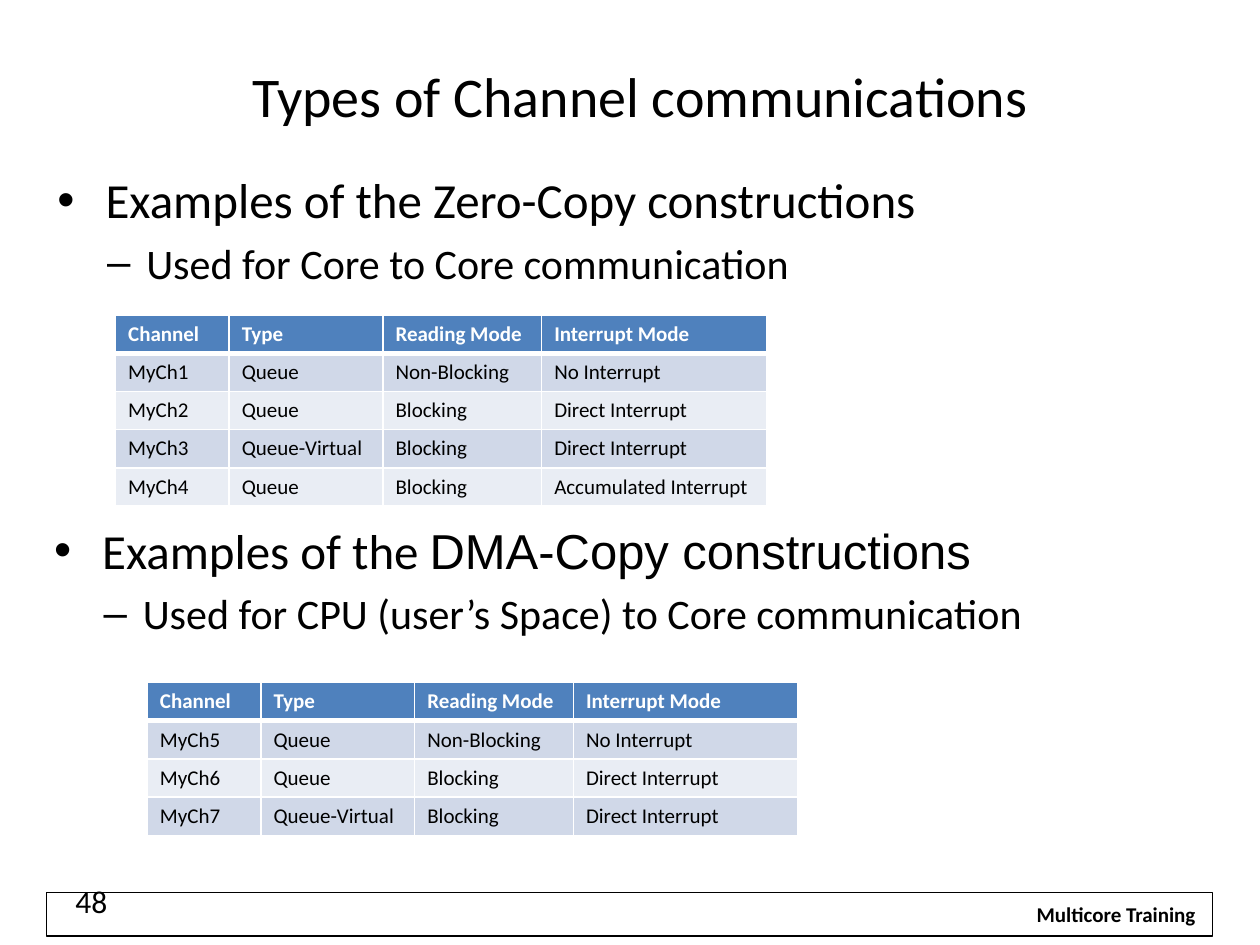
from lxml import etree
from pptx import Presentation
from pptx.dml.color import RGBColor
from pptx.enum.shapes import MSO_SHAPE
from pptx.enum.text import MSO_ANCHOR, PP_ALIGN
from pptx.oxml.ns import qn
from pptx.util import Cm, Pt

RECTANGLE = MSO_SHAPE.RECTANGLE
MIDDLE = MSO_ANCHOR.MIDDLE
LEFT, CENTER = PP_ALIGN.LEFT, PP_ALIGN.CENTER

COLORS = {
    "text": "000000",
    "white": "FFFFFF",
    "header": "4F81BD",
    "odd_row": "D0D8E8",
    "even_row": "E9EDF4",
}
BULLETS = [("•", 28, 0.97, 0.97), ("–", 24, 1.79, 0.79)]
COLUMN_WIDTHS = [2.29, 3.1, 3.2, 4.53]
ROW_HEIGHT = 0.77
HEADINGS = ["Channel", "Type", "Reading Mode", "Interrupt Mode"]
ZERO_COPY_CHANNELS = [
    ["MyCh1", "Queue", "Non-Blocking", "No Interrupt"],
    ["MyCh2", "Queue", "Blocking", "Direct Interrupt"],
    ["MyCh3", "Queue-Virtual", "Blocking", "Direct Interrupt"],
    ["MyCh4", "Queue", "Blocking", "Accumulated Interrupt"],
]
DMA_COPY_CHANNELS = [
    ["MyCh5", "Queue", "Non-Blocking", "No Interrupt"],
    ["MyCh6", "Queue", "Blocking", "Direct Interrupt"],
    ["MyCh7", "Queue-Virtual", "Blocking", "Direct Interrupt"],
]


class SlideBuilder:
    """Adds styled elements to one slide, with lengths in centimetres."""

    def __init__(self, slide, font="Calibri"):
        self.slide = slide
        self.font = font

    def color(self, name):
        return RGBColor.from_string(COLORS[name])

    def format_run(self, run, size, color="text", bold=False, font=None):
        run.font.name = font or self.font
        run.font.size = Pt(size)
        run.font.bold = bold
        run.font.color.rgb = self.color(color)

    def frame(self, left, top, width, height):
        shape = self.slide.shapes.add_shape(
            RECTANGLE, Cm(left), Cm(top), Cm(width), Cm(height))
        shape.shadow.inherit = False
        shape.fill.background()
        shape.line.color.rgb = self.color("text")
        shape.line.width = Pt(0.75)

    def text_box(self, left, top, width, height):
        return self.slide.shapes.add_textbox(
            Cm(left), Cm(top), Cm(width), Cm(height))

    def label(self, box, text, size, align=LEFT, bold=False, fill=None, wrap=True):
        shape = self.text_box(*box)
        if fill:
            shape.fill.solid()
            shape.fill.fore_color.rgb = self.color(fill)
        text_frame = shape.text_frame
        text_frame.word_wrap = wrap
        text_frame.text = text
        paragraph = text_frame.paragraphs[0]
        paragraph.alignment = align
        self.format_run(paragraph.runs[0], size, bold=bold)
        return text_frame

    def bullet_list(self, box, items):
        text_frame = self.text_box(*box).text_frame
        text_frame.word_wrap = True
        for level, (parts, style) in enumerate(zip(items, BULLETS)):
            symbol, size, margin, hanging = style
            paragraph = text_frame.add_paragraph() if level else text_frame.paragraphs[0]
            paragraph.level = level
            paragraph.space_before = Pt(size * 0.2)
            properties = paragraph._p.get_or_add_pPr()
            properties.set("marL", str(Cm(margin)))
            properties.set("indent", str(-Cm(hanging)))
            etree.SubElement(properties, qn("a:buFont"), typeface="Arial")
            etree.SubElement(properties, qn("a:buChar"), char=symbol)
            for text, font in parts:
                run = paragraph.add_run()
                run.text = text
                self.format_run(run, size, font=font)

    def cell_borders(self, cell, widths):
        properties = cell._tc.get_or_add_tcPr()
        for side, width in zip("LRTB", widths):
            line = etree.SubElement(properties, qn(f"a:ln{side}"), w=str(Pt(width)))
            fill = etree.SubElement(line, qn("a:solidFill"))
            etree.SubElement(fill, qn("a:srgbClr"), val=COLORS["white"])

    def table(self, left, top, channels):
        rows = [HEADINGS] + channels
        table = self.slide.shapes.add_table(
            len(rows), len(HEADINGS), Cm(left), Cm(top),
            Cm(sum(COLUMN_WIDTHS)), Cm(ROW_HEIGHT * len(rows))).table
        for column, width in zip(table.columns, COLUMN_WIDTHS):
            column.width = Cm(width)
        for row_index, values in enumerate(rows):
            is_header = row_index == 0
            band = "odd_row" if row_index % 2 else "even_row"
            top_width = 3 if row_index == 1 else 1
            bottom_width = 3 if is_header else 1
            for column_index, value in enumerate(values):
                cell = table.cell(row_index, column_index)
                cell.text_frame.text = value
                self.format_run(cell.text_frame.paragraphs[0].runs[0], 12,
                                "white" if is_header else "text", is_header)
                self.cell_borders(cell, [1, 1, top_width, bottom_width])
                cell.fill.solid()
                cell.fill.fore_color.rgb = self.color("header" if is_header else band)


def main():
    presentation = Presentation()
    presentation.slide_width, presentation.slide_height = Cm(25.4), Cm(19.05)
    builder = SlideBuilder(presentation.slides.add_slide(presentation.slide_layouts[6]))

    builder.frame(0.94, 17.99, 23.51, 0.88)
    builder.label((20.62, 18.05, 3.76, 0.76), "Multicore Training", 12,
                  CENTER, bold=True, fill="white", wrap=False)
    title = builder.label((1.48, 1.06, 22.86, 1.7),
                          "Types of Channel communications", 32, CENTER)
    title.vertical_anchor = MIDDLE
    builder.bullet_list((0.91, 3.3, 23.52, 2.64), [
        [("Examples of the Zero-Copy constructions", None)],
        [("Used for Core to Core communication", None)],
    ])
    builder.label((1.27, 17.65, 5.92, 1.02), "48", 18)
    builder.table(2.33, 6.35, ZERO_COPY_CHANNELS)
    builder.table(2.97, 13.76, DMA_COPY_CHANNELS)
    builder.bullet_list((0.84, 10.37, 23.52, 2.64), [
        [("Examples of the ", None), ("DMA-Copy constructions", "Arial")],
        [("Used for CPU (user’s Space) to Core communication", None)],
    ])
    presentation.save("out.pptx")


if __name__ == "__main__":
    main()
